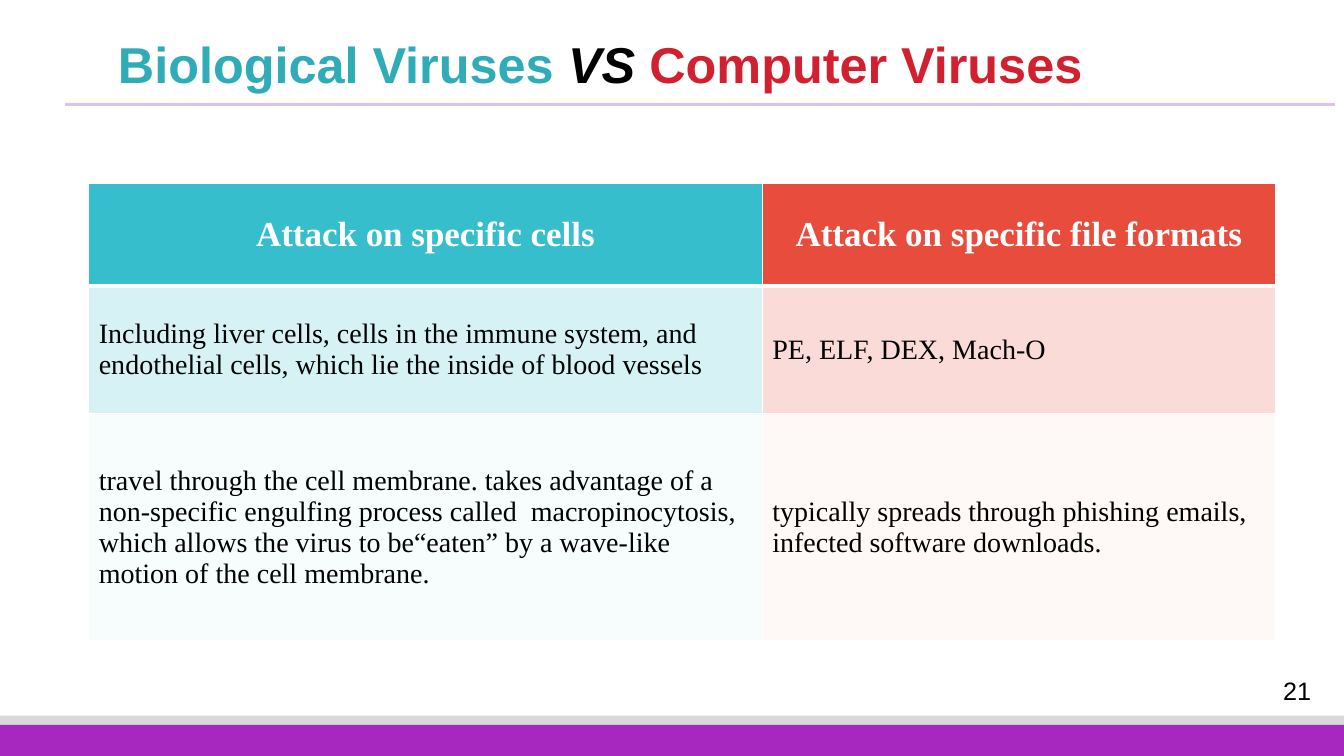
from lxml import etree
from pptx import Presentation
from pptx.dml.color import RGBColor
from pptx.enum.shapes import MSO_CONNECTOR, MSO_SHAPE
from pptx.enum.text import MSO_ANCHOR, MSO_AUTO_SIZE, PP_ALIGN
from pptx.oxml.ns import qn
from pptx.util import Inches, Pt

RECTANGLE = MSO_SHAPE.RECTANGLE
STRAIGHT = MSO_CONNECTOR.STRAIGHT
TOP, MIDDLE = MSO_ANCHOR.TOP, MSO_ANCHOR.MIDDLE
LEFT, CENTER = PP_ALIGN.LEFT, PP_ALIGN.CENTER
NO_AUTOFIT = MSO_AUTO_SIZE.NONE

WHITE, BLACK = "FFFFFF", "000000"
SANS, SERIF = "Arial", "Times New Roman"
TITLE_PARTS = [
    ("Biological Viruses ", "2FACB7", False),
    ("VS", BLACK, True),
    (" Computer Viruses", "D1202F", False),
]
COLUMN_WIDTHS = [6.68, 5.09]
ROW_HEIGHTS = [1.02, 1.26, 2.26]
ROW_FILLS = [("37BECC", "E74C3C"), ("D7F2F5", "FADBD8"), ("F5FCFC", "FEF6F5")]
ROW_OPACITY = [100, 100, 70]
COMPARISON = [
    ("Attack on specific cells", "Attack on specific file formats"),
    (
        "Including liver cells, cells in the immune system, and endothelial "
        "cells, which lie the inside of blood vessels",
        "PE, ELF, DEX, Mach-O",
    ),
    (
        "travel through the cell membrane. takes advantage of a non-specific "
        "engulfing process called  macropinocytosis, which allows the virus to "
        "be“eaten” by a wave-like motion of the cell membrane.",
        "typically spreads through phishing emails, infected software downloads.",
    ),
]


def rgb(code):
    """Turn a hex string into a colour."""
    return RGBColor.from_string(code)


def style_font(font, face, size, color, bold=False, italic=False):
    """Set the look of a run."""
    font.name, font.size = face, Pt(size)
    font.bold, font.italic = bold, italic
    font.color.rgb = rgb(color)


def add_band(slide, top, height, color):
    """Draw a full-width footer band."""
    band = slide.shapes.add_shape(
        RECTANGLE, 0, Inches(top), Inches(13.33), Inches(height))
    band.shadow.inherit = False
    band.fill.solid()
    band.fill.fore_color.rgb = rgb(color)
    band.line.fill.background()


def add_rule(slide):
    """Draw the pale line below the title."""
    rule = slide.shapes.add_connector(
        STRAIGHT, Inches(0.64), Inches(1.04), Inches(13.24), Inches(1.04))
    rule.line.color.rgb = rgb("E2BFEA")
    rule.line.width = Pt(2.25)
    etree.SubElement(rule.element.spPr, qn("a:effectLst"))


def add_page_number(slide, number):
    """Write the page number above the footer."""
    box = slide.shapes.add_textbox(
        Inches(12.41), Inches(6.65), Inches(0.91), Inches(0.39))
    frame = box.text_frame
    frame.word_wrap = True
    frame.vertical_anchor = MIDDLE
    frame.text = number
    paragraph = frame.paragraphs[0]
    paragraph.alignment = CENTER
    style_font(paragraph.runs[0].font, SANS, 18, BLACK)


def fill_title(slide):
    """Place the title and write its coloured parts."""
    title = slide.shapes.title
    title.left, title.top = Inches(1.07), Inches(0.35)
    title.width, title.height = Inches(11.37), Inches(0.48)
    frame = title.text_frame
    frame.auto_size = NO_AUTOFIT
    frame.word_wrap = True
    frame.vertical_anchor = TOP
    paragraph = frame.paragraphs[0]
    paragraph.alignment = LEFT
    paragraph.line_spacing = 0.9
    paragraph.space_before = Pt(0)
    for text, color, italic in TITLE_PARTS:
        run = paragraph.add_run()
        run.text = text
        style_font(run.font, SANS, 36, color, True, italic)


def set_border(cell, side, width):
    """Give one side of a cell a white border."""
    properties = cell._tc.get_or_add_tcPr()
    border = etree.SubElement(properties, qn(f"a:ln{side}"), w=str(Pt(width)))
    fill = etree.SubElement(border, qn("a:solidFill"))
    etree.SubElement(fill, qn("a:srgbClr"), val=WHITE)


def fill_cell(cell, text, row, color):
    """Write and format one cell of the comparison."""
    header = row == 0
    widths = {"L": 1, "R": 1, "T": 3 if row == 1 else 1, "B": 3 if header else 1}
    for side, width in widths.items():
        set_border(cell, side, width)
    cell.fill.solid()
    cell.fill.fore_color.rgb = rgb(color)
    if ROW_OPACITY[row] < 100:
        tint = cell._tc.tcPr.find(f"{qn('a:solidFill')}/{qn('a:srgbClr')}")
        etree.SubElement(tint, qn("a:alpha"), val=str(ROW_OPACITY[row] * 1000))
    cell.vertical_anchor = MIDDLE
    cell.text_frame.text = text
    paragraph = cell.text_frame.paragraphs[0]
    paragraph.alignment = CENTER if header else LEFT
    style_font(paragraph.runs[0].font, SERIF, 25 if header else 20,
               WHITE if header else BLACK, header)


def add_comparison(slide):
    """Build the table that compares both kinds of virus."""
    table = slide.shapes.add_table(
        len(ROW_HEIGHTS), len(COLUMN_WIDTHS), Inches(0.88), Inches(1.82),
        Inches(sum(COLUMN_WIDTHS)), Inches(sum(ROW_HEIGHTS))).table
    table.horz_banding = False
    for column, width in zip(table.columns, COLUMN_WIDTHS):
        column.width = Inches(width)
    for row, height in enumerate(ROW_HEIGHTS):
        table.rows[row].height = Inches(height)
        for column, text in enumerate(COMPARISON[row]):
            fill_cell(table.cell(row, column), text, row, ROW_FILLS[row][column])


def main():
    """Build and save the slide."""
    deck = Presentation()
    deck.slide_width, deck.slide_height = Inches(13.33), Inches(7.5)
    slide = deck.slides.add_slide(deck.slide_layouts[5])
    add_band(slide, 7.1, 0.4, "D9D9D9")
    add_band(slide, 7.19, 0.31, "A728BE")
    add_rule(slide)
    add_page_number(slide, "21")
    fill_title(slide)
    add_comparison(slide)
    deck.save("out.pptx")


if __name__ == "__main__":
    main()
